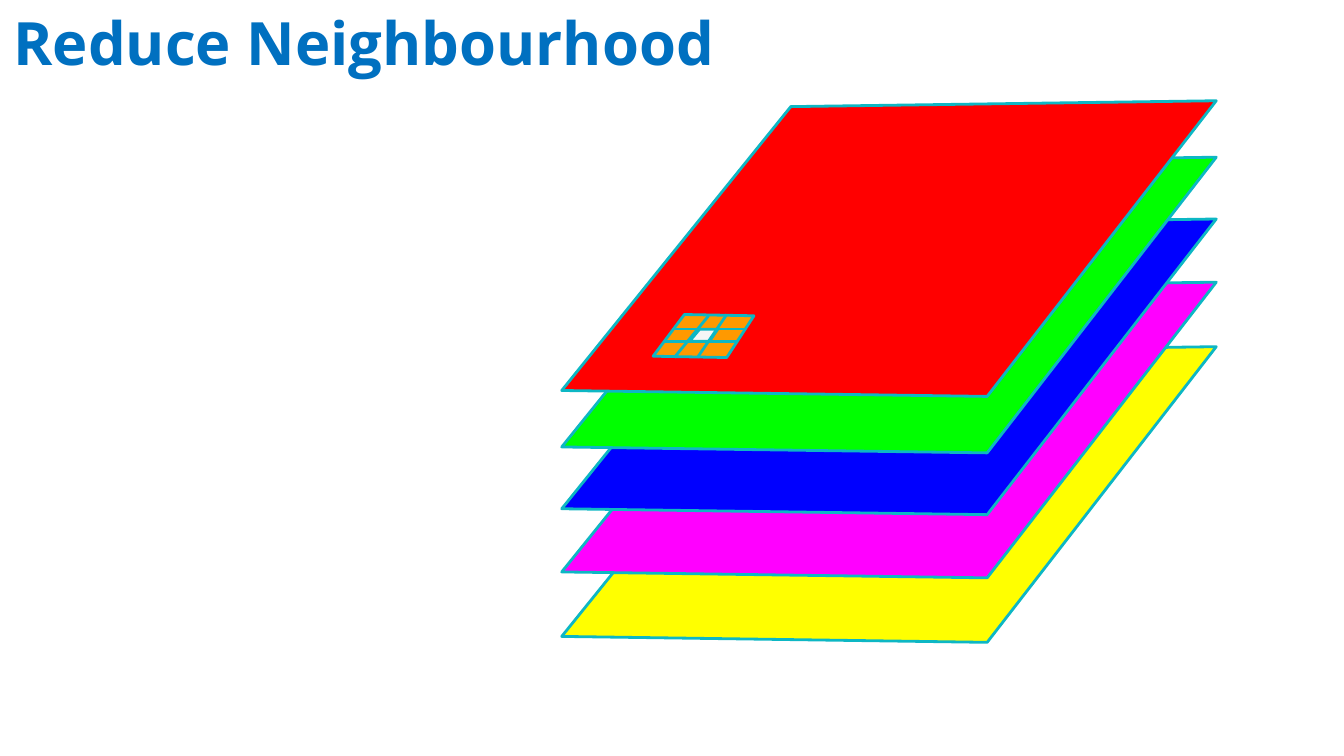
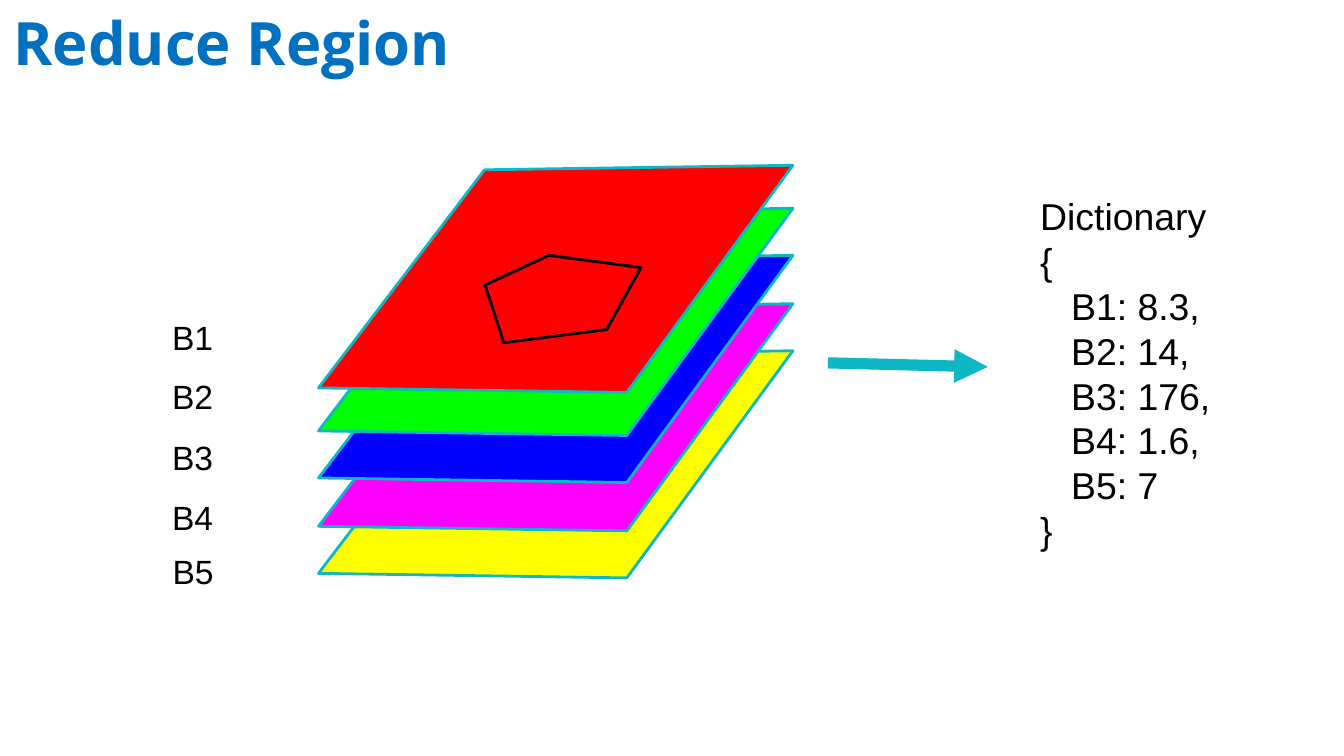
import dataclasses

import lxml.etree
import pptx
import pptx.dml.color
import pptx.enum.shapes
import pptx.enum.text
import pptx.oxml.ns
import pptx.util

Inches = pptx.util.Inches
Pt = pptx.util.Pt
ALIGN = pptx.enum.text.PP_ALIGN
ANCHOR = pptx.enum.text.MSO_ANCHOR


@dataclasses.dataclass(frozen=True)
class Theme:
    """Colours, fonts and sizes shared by the slides."""

    title: str = "0070C0"
    text: str = "000000"
    edge: str = "0DB7C4"
    window: str = "FF9900"
    centre: str = "F6F6F6"
    bands: tuple = ("FF0000", "00FF00", "0000FF", "FF00FF", "FFFF00")
    title_font: str = "Open Sans"
    body_font: str = "Arial"
    title_size: int = 32
    dictionary_size: int = 20
    label_size: int = 18
    thin: float = 1.5
    thick: float = 6


@dataclasses.dataclass(frozen=True)
class Box:
    """A rectangle in inches."""

    left: float
    top: float
    width: float
    height: float

    def point(self, x, y):
        """Turn fractions of the box into a position on the slide."""
        return Inches(self.left + x * self.width), Inches(self.top + y * self.height)

    def frame(self):
        """Return left, top, width and height as lengths."""
        return tuple(map(Inches, (self.left, self.top, self.width, self.height)))


THEME = Theme()
BAND_OUTLINE = ((0, 0.98), (0.35, 0.02), (1, 0), (0.65, 1))
WINDOW_OUTLINE = ((0.31, 0), (0, 0.97), (0.73, 1), (1, 0.03))
CENTRE_OUTLINE = ((0.36, 0), (0, 1), (0.71, 1), (1, 0))
WINDOW_GRID = (
    ((0.55, 0.03), (0.21, 1)),
    ((0.73, 0), (0.44, 1)),
    ((0.19, 0.34), (0.92, 0.34)),
    ((0.11, 0.62), (0.83, 0.62)),
)
REGION_OUTLINE = ((0, 0.34), (0.12, 1), (0.78, 0.85), (1, 0.14), (0.41, 0))


def rgb(colour):
    """Return a colour object for a hex string."""
    return pptx.dml.color.RGBColor.from_string(colour)


def add_outline(shapes, box, corners, fill=None, edge=THEME.edge):
    """Draw a closed polygon from fractions of its box."""
    start, *others = [box.point(*corner) for corner in corners]
    builder = shapes.build_freeform(*start)
    builder.add_line_segments(others, close=True)
    outline = builder.convert_to_shape()
    outline.shadow.inherit = False
    if fill:
        outline.fill.solid()
        outline.fill.fore_color.rgb = rgb(fill)
    else:
        outline.fill.background()
    outline.line.color.rgb = rgb(edge)
    outline.line.width = Pt(THEME.thin)


def add_line(shapes, box, start, end, width=THEME.thin, arrow=False):
    """Draw a straight line between two fractions of a box."""
    line = shapes.add_connector(
        pptx.enum.shapes.MSO_CONNECTOR.STRAIGHT, *box.point(*start), *box.point(*end)
    )
    line.line.color.rgb = rgb(THEME.edge)
    line.line.width = Pt(width)
    qn = pptx.oxml.ns.qn
    properties = line._element.spPr
    if arrow:
        lxml.etree.SubElement(properties.find(qn("a:ln")), qn("a:tailEnd"), type="triangle")
    lxml.etree.SubElement(properties, qn("a:effectLst"))


def set_frame(frame, inset, anchor):
    """Set insets, wrapping and anchor of a text frame."""
    frame.auto_size = pptx.enum.text.MSO_AUTO_SIZE.NONE
    frame.word_wrap = True
    frame.vertical_anchor = anchor
    frame.margin_left = frame.margin_right = Inches(inset)
    frame.margin_top = frame.margin_bottom = Inches(inset)


def add_run(paragraph, text, size, font=THEME.body_font, colour=THEME.text, bold=False):
    """Add one formatted run to a paragraph."""
    run = paragraph.add_run()
    run.text = text
    run.font.size = Pt(size)
    run.font.name = font
    run.font.bold = bold
    run.font.color.rgb = rgb(colour)


def add_titled_slide(deck, text):
    """Add a title-only slide and format its title."""
    slide = deck.slides.add_slide(deck.slide_layouts[5])
    title = slide.shapes.title
    title.left, title.top, title.width, title.height = Box(0, 0, 8.47, 0.68).frame()
    set_frame(title.text_frame, 0.1, ANCHOR.BOTTOM)
    heading = title.text_frame.paragraphs[0]
    heading.alignment = ALIGN.LEFT
    add_run(heading, text, THEME.title_size, THEME.title_font, THEME.title, True)
    return slide


def add_band_stack(shapes, box, offsets):
    """Stack the image bands downwards from the given box, the first one in front."""
    for offset, colour in reversed(list(zip(offsets, THEME.bands))):
        band = dataclasses.replace(box, top=box.top + offset)
        add_outline(shapes, band, BAND_OUTLINE, colour)


def add_window(shapes, box):
    """Draw the three by three neighbourhood with its centre cell."""
    add_outline(shapes, box, WINDOW_OUTLINE, THEME.window)
    centre = Box(box.left + 0.27, box.top + 0.11, 0.21, 0.09)
    add_outline(shapes, centre, CENTRE_OUTLINE, THEME.centre)
    for start, end in WINDOW_GRID:
        add_line(shapes, box, start, end)


def add_dictionary(shapes, box, values):
    """List the reduced value of each band between braces."""
    frame = shapes.add_textbox(*box.frame()).text_frame
    set_frame(frame, 0.13, ANCHOR.TOP)
    entries = ",\n".join(f"B{band}: {value}" for band, value in enumerate(values, 1))
    lines = ["Dictionary", "{", *entries.split("\n"), "}"]
    for index, text in enumerate(lines):
        line = frame.add_paragraph() if index else frame.paragraphs[0]
        if text.startswith("B"):
            line._p.get_or_add_pPr().set("marL", str(Inches(0.23)))
        add_run(line, text, THEME.dictionary_size)


def add_band_label(shapes, box, text, alignment=ALIGN.LEFT):
    """Name one band beside the stack."""
    frame = shapes.add_textbox(*box.frame()).text_frame
    set_frame(frame, 0.13, ANCHOR.TOP)
    label = frame.paragraphs[0]
    label.alignment = alignment
    add_run(label, text, THEME.label_size)


def build_neighbourhood_slide(deck):
    """Show a moving window on the top band."""
    slide = add_titled_slide(deck, "Reduce Neighbourhood")
    stack = slide.shapes.add_group_shape().shapes
    add_band_stack(stack, Box(4.18, 0.75, 4.87, 2.2), (0, 0.42, 0.88, 1.35, 1.83))
    add_window(stack, Box(4.86, 2.34, 0.75, 0.32))


def build_region_slide(deck):
    """Show a polygon reduced to one value per band."""
    slide = add_titled_slide(deck, "Reduce Region")
    stack = slide.shapes.add_group_shape().shapes
    add_band_stack(stack, Box(2.37, 1.23, 3.53, 1.69), (0, 0.32, 0.67, 1.03, 1.38))
    add_outline(stack, Box(3.61, 1.9, 1.16, 0.65), REGION_OUTLINE, edge=THEME.text)
    add_line(slide.shapes, Box(6.16, 2.7, 1.19, 0.03), (0, 0), (1, 1), THEME.thick, True)
    add_dictionary(slide.shapes, Box(7.61, 1.31, 2.39, 2.99), ("8.3", "14", "176", "1.6", "7"))
    for band, top in enumerate((2.23, 2.67, 3.12, 3.57), 1):
        add_band_label(slide.shapes, Box(1.15, top, 0.62, 0.5), f"B{band}")
    add_band_label(slide.shapes, Box(1.1, 3.97, 0.62, 0.5), "B5", ALIGN.RIGHT)


def main():
    """Build and save the deck."""
    deck = pptx.Presentation()
    deck.slide_width = Inches(10)
    deck.slide_height = deck.slide_width * 9 // 16
    build_neighbourhood_slide(deck)
    build_region_slide(deck)
    deck.save("out.pptx")


if __name__ == "__main__":
    main()
